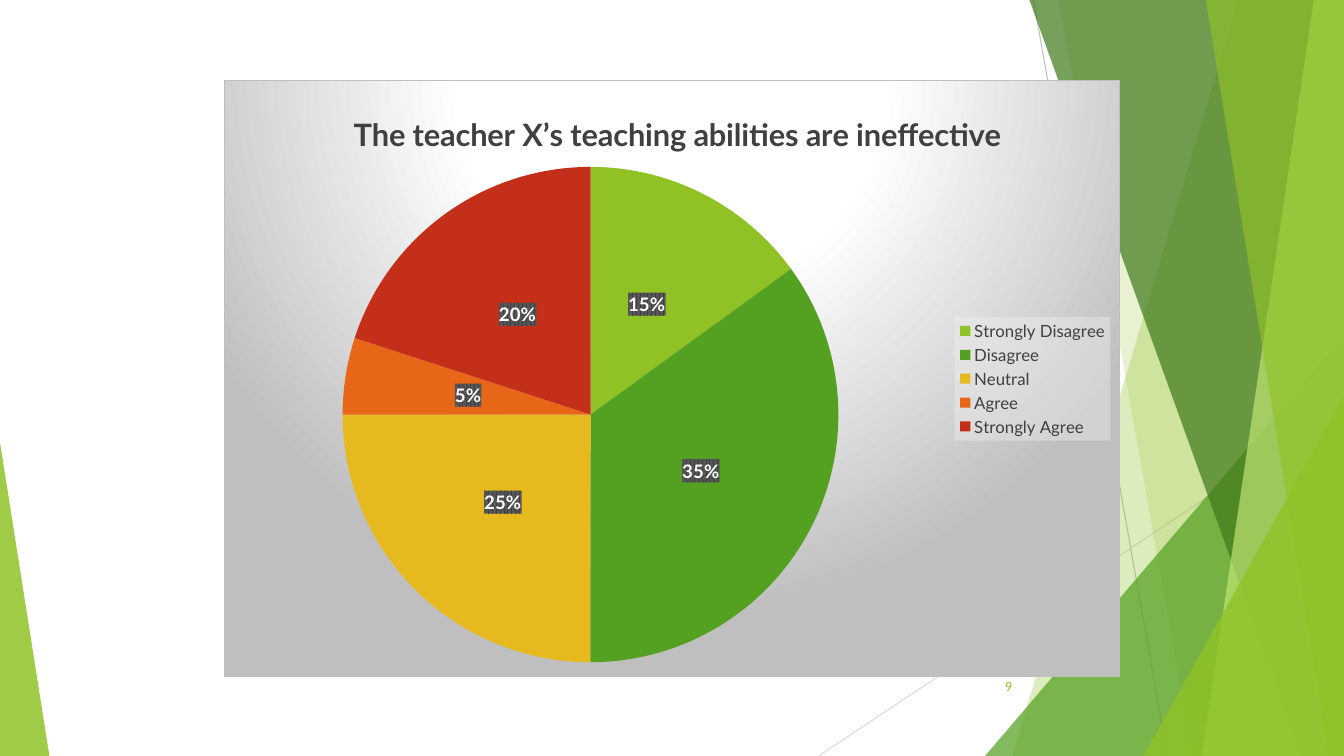
"""Build a slide with a pie chart of survey answers over faceted green decoration."""
from lxml import etree
from pptx import Presentation
from pptx.chart.data import CategoryChartData
from pptx.dml.color import RGBColor
from pptx.enum.chart import XL_CHART_TYPE, XL_LABEL_POSITION, XL_LEGEND_POSITION
from pptx.enum.shapes import MSO_CONNECTOR, MSO_SHAPE
from pptx.enum.text import MSO_ANCHOR, PP_ALIGN
from pptx.oxml import parse_xml
from pptx.oxml.ns import nsdecls, qn
from pptx.util import Inches, Pt

W, H = 13.33, 7.5
FONT = "Lato"
GREEN, GRAY, DARK = "90C226", "BFBFBF", "404040"


def rgb(color):
    return RGBColor.from_string(color)


def chart_xml(body):
    return parse_xml(body.replace(">", f" {nsdecls('c', 'a')}>", 1))


prs = Presentation()
prs.slide_width, prs.slide_height = Inches(W), Inches(H)
s = prs.slides.add_slide(prs.slide_layouts[6])

for x1, y1, x2, y2, color in [
    (10.25, 0, 11.58, H, GRAY),
    (W, 4.03, 8.12, H, "D9D9D9"),
]:
    line = s.shapes.add_connector(
        MSO_CONNECTOR.STRAIGHT, Inches(x1), Inches(y1), Inches(x2), Inches(y2)
    )
    line.line.color.rgb = rgb(color)
    line.line.width = Pt(0.75)
    etree.SubElement(line._element.spPr, qn("a:effectLst"))

facets = [
    ("band", 12.28, 10.04, GREEN, 30),
    ("band", 10.5, 11.83, GREEN, 20),
    ("right", 9.77, 3.33, "54A021", 72),
    ("band", 10.21, 12.91, "3F7819", 70),
    ("band", 13.03, 11.92, "C0E474", 70),
    ("band", 11.96, 13.18, GREEN, 65),
    ("right", 11.34, 3.93, GREEN, 80),
    ("left", 0.49, 4.39, GREEN, 85),
]
for kind, a, b, color, opacity in facets:
    if kind == "band":
        outline = s.shapes.build_freeform(Inches(a), 0, scale=1.0)
        outline.add_line_segments(
            [(Inches(x), Inches(y)) for x, y in [(W, 0), (W, H), (b, H)]], close=True
        )
        sp = outline.convert_to_shape()
    else:
        left, width = (a, W - a) if kind == "right" else (0, a)
        sp = s.shapes.add_shape(
            MSO_SHAPE.ISOSCELES_TRIANGLE,
            Inches(left), Inches(b), Inches(width), Inches(H - b),
        )
        sp.adjustments[0] = 1 if kind == "right" else 0
    sp.shadow.inherit = False
    sp.line.fill.background()
    sp.fill.solid()
    sp.fill.fore_color.rgb = rgb(color)
    tint = sp._element.spPr.find(f".//{qn('a:srgbClr')}")
    etree.SubElement(tint, qn("a:alpha")).set("val", str(opacity * 1000))

number = s.shapes.add_textbox(Inches(9.39), Inches(6.61), Inches(0.75), Inches(0.4))
tf = number.text_frame
tf.word_wrap = True
tf.vertical_anchor = MSO_ANCHOR.MIDDLE
p = tf.paragraphs[0]
p.text = "9"
p.alignment = PP_ALIGN.RIGHT
p.font.name, p.font.size = FONT, Pt(9)
p.font.color.rgb = rgb(GREEN)

answers = [
    ("Strongly Disagree", 15, GREEN),
    ("Disagree", 35, "54A021"),
    ("Neutral", 25, "E6B91E"),
    ("Agree", 5, "E76618"),
    ("Strongly Agree", 20, "C42F1A"),
]
data = CategoryChartData()
data.categories = [name for name, _, _ in answers]
data.add_series("Series 1", [value for _, value, _ in answers])
chart = s.shapes.add_chart(
    XL_CHART_TYPE.PIE,
    Inches(W / 6), Inches(0.79), Inches(W * 2 / 3), Inches(5.93), data,
).chart
chart.font.name, chart.font.size = FONT, Pt(10)

chart.has_title = True
title = chart.chart_title
title.include_in_layout = False
p = title.text_frame.paragraphs[0]
p.text = "The teacher X’s teaching abilities are ineffective"
chart.has_legend = True
legend = chart.legend
legend.position = XL_LEGEND_POSITION.RIGHT
legend.include_in_layout = False

plot = chart.plots[0]
plot.vary_by_categories = True
for i, (_, _, color) in enumerate(answers):
    wedge = plot.series[0].points[i].format
    wedge.fill.solid()
    wedge.fill.fore_color.rgb = rgb(color)
    wedge.line.fill.background()

labels = plot.series[0].data_labels
labels.show_percentage, labels.show_value = True, False
labels.number_format, labels.number_format_is_linked = "0%", False
labels.position = XL_LABEL_POSITION.CENTER

for font, size, color, bold in [
    (p.font, 22, DARK, True),
    (legend.font, 12, DARK, False),
    (labels.font, 13.3, "FFFFFF", True),
]:
    font.name, font.size, font.bold = FONT, Pt(size), bold
    font.color.rgb = rgb(color)

space = chart.element
root = space.find(qn("c:chart"))
frames = [
    (title._element, {"x": 0.138, "y": 0.045}),
    (root.find(qn("c:plotArea")), {"x": 0.132, "y": 0.145, "w": 0.554, "h": 0.831}),
    (legend._element, {"x": 0.816, "y": 0.397, "w": 0.174, "h": 0.207}),
]
for part, box in frames:
    for old in part.findall(qn("c:layout")):
        part.remove(old)
    target = '<c:layoutTarget val="inner"/>' if part.tag == qn("c:plotArea") else ""
    modes = "".join(f'<c:{k}Mode val="edge"/>' for k in "xy")
    sizes = "".join(f'<c:{k} val="{v}"/>' for k, v in box.items())
    layout = chart_xml(
        f"<c:layout><c:manualLayout>{target}{modes}{sizes}</c:manualLayout></c:layout>"
    )
    before = {qn("c:title"): "c:tx", qn("c:legend"): "c:legendPos"}.get(part.tag)
    if before:
        part.find(qn(before)).addnext(layout)
    else:
        part.insert(0, layout)

stops = "".join(
    f'<a:gs pos="{pos}000"><a:srgbClr val="{color}"/></a:gs>'
    for pos, color in [(0, "FFFFFF"), (39, "FFFFFF"), (100, GRAY)]
)
root.addnext(chart_xml(
    f'<c:spPr><a:gradFill><a:gsLst>{stops}</a:gsLst><a:path path="circle">'
    '<a:fillToRect l="50000" t="-80000" r="50000" b="180000"/></a:path></a:gradFill>'
    f'<a:ln w="9525"><a:solidFill><a:srgbClr val="{GRAY}"/></a:solidFill></a:ln></c:spPr>'
))
root.addprevious(chart_xml('<c:roundedCorners val="0"></c:roundedCorners>'.replace(
    ' val="0">', ">", 1)))
space.find(qn("c:roundedCorners")).set("val", "0")
legend._element.find(qn("c:txPr")).addprevious(chart_xml(
    '<c:spPr><a:solidFill><a:srgbClr val="F2F2F2"><a:alpha val="39000"/></a:srgbClr>'
    "</a:solidFill></c:spPr>"
))
labels._element.find(qn("c:txPr")).addprevious(chart_xml(
    f'<c:spPr><a:pattFill prst="pct75"><a:fgClr><a:srgbClr val="{DARK}"/></a:fgClr>'
    '<a:bgClr><a:srgbClr val="595959"/></a:bgClr></a:pattFill></c:spPr>'
))

prs.save("out.pptx")
